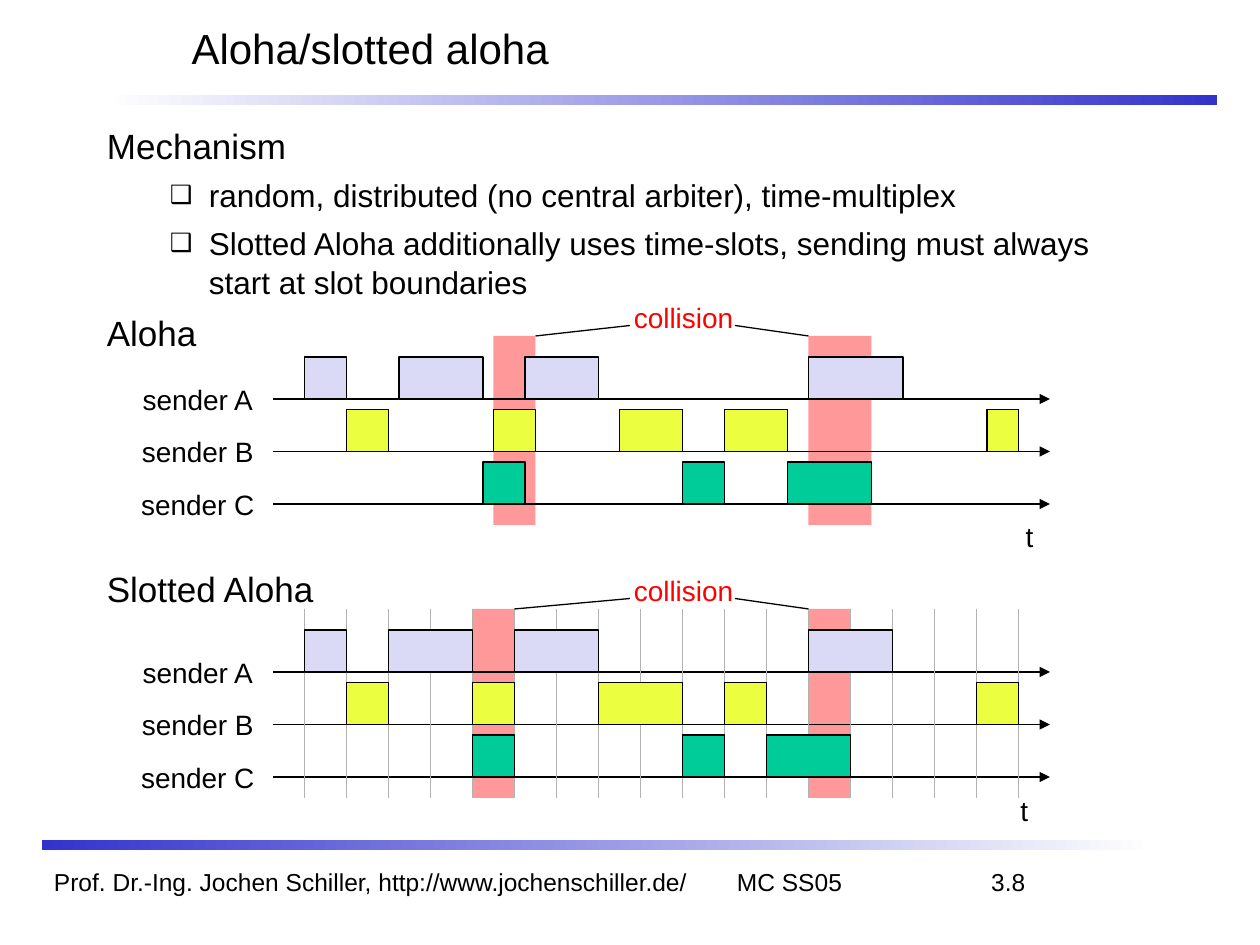
import lxml.etree
import pptx
import pptx.dml.color
import pptx.enum.dml
import pptx.enum.shapes
import pptx.enum.text
import pptx.oxml.ns
import pptx.util

Inches = pptx.util.Inches
ALIGN = pptx.enum.text.PP_ALIGN
ANCHOR = pptx.enum.text.MSO_ANCHOR

THEME = {
    "font": "Arial",
    "text": "000000", "alert": "FF0000", "band": "FF9999", "slot": "B2B2B2",
    "rule": "3333CC", "paper": "FFFFFF",
    "sender A": "DADAF6", "sender B": "ECFE40", "sender C": "00CC99",
    "title": 24, "heading": 20, "bullet": 18, "label": 16, "footer": 14,
    "line": 0.75,
}

TITLE = "Aloha/slotted aloha"
FOOTER = "Prof. Dr.-Ing. Jochen Schiller, http://www.jochenschiller.de/\tMC SS05\t3.8"
FOOTER_TABS = [(5.42, "l"), (7.71, "r")]

# (style, text, space before in points)
BODY = [
    ("heading", "Mechanism", 0),
    ("bullet", "random, distributed (no central arbiter), time-multiplex", 4.5),
    ("bullet", "Slotted Aloha additionally uses time-slots, sending must always "
               "start at slot boundaries", 4.5),
    ("heading", "Aloha", 5),
    ("heading", "Slotted Aloha", 121),
]

# Diagram positions count in units of 1/12 inch; packets and bands are (start, length).
UNIT = 1 / 12
DIAGRAMS = [
    {
        "top": 32, "slots": [], "bands": [(47, 4), (77, 6)], "time label": (8.04, 4.07),
        "packets": {
            "sender A": [(29, 4), (38, 8), (50, 7), (77, 9)],
            "sender B": [(33, 4), (47, 4), (59, 6), (69, 6), (94, 3)],
            "sender C": [(46, 4), (65, 4), (75, 8)],
        },
    },
    {
        "top": 58, "slots": range(29, 98, 4), "bands": [(45, 4), (77, 4)], "time label": (8, 6.25),
        "packets": {
            "sender A": [(29, 4), (37, 8), (49, 8), (77, 8)],
            "sender B": [(33, 4), (45, 4), (57, 8), (69, 4), (93, 4)],
            "sender C": [(45, 4), (65, 4), (73, 8)],
        },
    },
]
AXIS_START, AXIS_END = 26, 100
FIRST_AXIS, AXIS_STEP = 6, 5
BAND_HEIGHT, PACKET_HEIGHT = 18, 4
LABEL_HEIGHT = 0.37


def rgb(name):
    return pptx.dml.color.RGBColor.from_string(THEME[name])


def add_element(parent, tag, **attributes):
    element = lxml.etree.SubElement(parent, pptx.oxml.ns.qn(tag))
    for key, value in attributes.items():
        element.set(key, str(value))
    return element


def apply_format(target, values):
    for name, value in values.items():
        setattr(target, name, value)


def add_run(paragraph, text, size, color="text"):
    run = paragraph.add_run()
    run.text = text
    apply_format(run.font, {"name": THEME["font"], "size": pptx.util.Pt(THEME[size])})
    run.font.color.rgb = rgb(color)


def add_text_box(slide, left, top, width, height, **frame_format):
    box = slide.shapes.add_textbox(*map(Inches, (left, top, width, height)))
    apply_format(box.text_frame, {"word_wrap": True, **frame_format})
    return box.text_frame


def add_label(slide, text, left, top, width, color="text"):
    frame = add_text_box(slide, left, top, width, LABEL_HEIGHT,
                         word_wrap=False, vertical_anchor=ANCHOR.MIDDLE)
    frame.paragraphs[0].alignment = ALIGN.CENTER
    add_run(frame.paragraphs[0], text, "label", color)


def add_box(slide, left, top, width, height, fill=None, outlined=False):
    box = slide.shapes.add_shape(pptx.enum.shapes.MSO_SHAPE.RECTANGLE,
                                 *map(Inches, (left, top, width, height)))
    box.shadow.inherit = False
    if fill:
        box.fill.solid()
        box.fill.fore_color.rgb = rgb(fill)
    if outlined:
        box.line.color.rgb = rgb("text")
        box.line.width = pptx.util.Pt(THEME["line"])
    else:
        box.line.fill.background()
    return box


def add_grid_box(slide, left, top, width, height, fill, outlined=False):
    """Add a box whose place is given in diagram units."""
    add_box(slide, *(UNIT * value for value in (left, top, width, height)), fill, outlined)


def add_grid_line(slide, start, end, color="text", arrow=False):
    """Add a line whose ends are given in diagram units."""
    line = slide.shapes.add_connector(pptx.enum.shapes.MSO_CONNECTOR.STRAIGHT,
                                      *(Inches(UNIT * value) for value in (*start, *end)))
    line.line.color.rgb = rgb(color)
    line.line.width = pptx.util.Pt(THEME["line"])
    if arrow:
        add_element(line.line._get_or_add_ln(), "a:tailEnd", type="triangle")
    add_element(line._element.spPr, "a:effectLst")


def add_rule(slide, top, left, colors):
    rule = add_box(slide, left, top, 8.83, 0.08)
    rule.fill.gradient()
    rule.fill.gradient_angle = 0
    for stop, color, position in zip(rule.fill.gradient_stops, colors, (0, 1)):
        stop.color.rgb = rgb(color)
        stop.position = position


def add_title(slide):
    title = slide.shapes.title
    apply_format(title, {"left": Inches(1.42), "top": Inches(0),
                         "width": Inches(8.42), "height": Inches(0.75)})
    apply_format(title.text_frame, {"vertical_anchor": ANCHOR.MIDDLE, "word_wrap": True,
                                    "auto_size": pptx.enum.text.MSO_AUTO_SIZE.NONE})
    paragraph = title.text_frame.paragraphs[0]
    paragraph.alignment = ALIGN.LEFT
    add_run(paragraph, TITLE, "title")


def add_body(slide):
    frame = add_text_box(slide, 0.75, 0.92, 8.5, 5.75)
    for index, (style, text, space) in enumerate(BODY):
        paragraph = frame.add_paragraph() if index else frame.paragraphs[0]
        if style == "bullet":
            properties = paragraph._p.get_or_add_pPr()
            properties.set("marL", str(Inches(0.81)))
            properties.set("indent", str(Inches(-0.31)))
            add_element(properties, "a:buSzPct", val=80000)
            add_element(properties, "a:buFont", typeface=THEME["font"])
            add_element(properties, "a:buChar", char="❑")
        apply_format(paragraph, {"line_spacing": 1.05, "space_before": pptx.util.Pt(space)})
        add_run(paragraph, text, style)


def add_footer(slide):
    paragraph = add_text_box(slide, 0.33, 6.83, 8.75, 0.33).paragraphs[0]
    tabs = add_element(paragraph._p.get_or_add_pPr(), "a:tabLst")
    for position, alignment in FOOTER_TABS:
        add_element(tabs, "a:tab", pos=Inches(position), algn=alignment)
    add_run(paragraph, FOOTER, "footer")


def add_diagram(slide, diagram):
    top = diagram["top"]
    for start, length in diagram["bands"]:
        add_grid_box(slide, start, top, length, BAND_HEIGHT, "band")

    axes = {sender: top + FIRST_AXIS + AXIS_STEP * row
            for row, sender in enumerate(diagram["packets"])}
    for sender, axis in axes.items():
        add_grid_line(slide, (AXIS_START, axis), (AXIS_END, axis), arrow=True)
        add_label(slide, sender, 1.02, UNIT * axis - LABEL_HEIGHT / 2, 1.1)
    for slot in diagram["slots"]:
        add_grid_line(slide, (slot, top), (slot, top + BAND_HEIGHT), "slot")
    for sender, packets in diagram["packets"].items():
        for start, length in packets:
            add_grid_box(slide, start, axes[sender] - PACKET_HEIGHT, length, PACKET_HEIGHT,
                         sender, outlined=True)

    (first_start, first_length), (second_start, _) = diagram["bands"]
    add_grid_line(slide, (first_start + first_length, top), (60, top - 1))
    add_grid_line(slide, (second_start, top), (70, top - 1))
    add_label(slide, "collision", 4.93, UNIT * (top - 4), 0.99, "alert")
    add_label(slide, "t", *diagram["time label"], 0.26)


def main():
    presentation = pptx.Presentation()
    presentation.slide_width, presentation.slide_height = Inches(10), Inches(7.5)
    slide = presentation.slides.add_slide(presentation.slide_layouts.get_by_name("Title Only"))
    add_rule(slide, 0.75, 0.83, ("paper", "rule"))
    add_rule(slide, 6.67, 0.33, ("rule", "paper"))
    add_title(slide)
    add_body(slide)
    add_footer(slide)
    for diagram in DIAGRAMS:
        add_diagram(slide, diagram)
    presentation.save("out.pptx")


if __name__ == "__main__":
    main()
